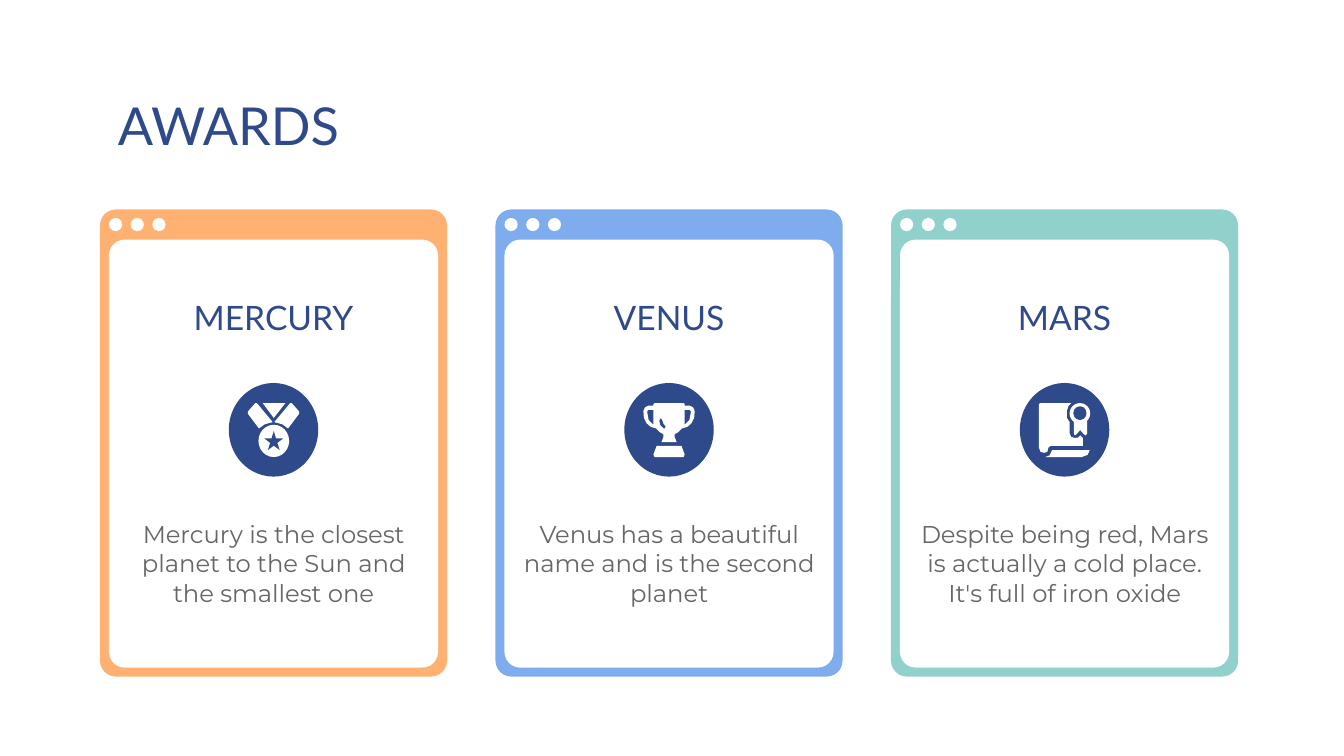
from pptx import Presentation
from pptx.dml.color import RGBColor
from pptx.enum.shapes import MSO_SHAPE
from pptx.enum.text import MSO_ANCHOR, PP_ALIGN
from pptx.util import Cm, Pt

ROUNDED, OVAL, STAR = MSO_SHAPE.ROUNDED_RECTANGLE, MSO_SHAPE.OVAL, MSO_SHAPE.STAR_5_POINT
TOP = MSO_ANCHOR.TOP
LEFT, CENTER = PP_ALIGN.LEFT, PP_ALIGN.CENTER

NAVY = RGBColor(0x2F, 0x4A, 0x8A)
GRAY = RGBColor(0x66, 0x66, 0x66)
WHITE = RGBColor(0xFF, 0xFF, 0xFF)
ORANGE = RGBColor(0xFF, 0xB1, 0x72)
BLUE = RGBColor(0x7E, 0xAC, 0xEC)
TEAL = RGBColor(0x90, 0xD1, 0xCB)

ICON_UNIT = Cm(0.01)
ICON_AXIS = 169

STRAP = [(116, 38), (119, 38), (133, 54), (133, 58), (112, 86), (101, 78), (86, 74)]
COLLAR = [(64, 38), (107, 38), (85, 66)]
CUP_HALF = [(112, 38), (114, 40), (114, 43), (124, 43), (130, 46), (133, 53), (132, 66),
            (127, 76), (119, 83), (109, 86), (102, 93), (95, 97), (95, 102), (99, 112)]
HANDLE_HOLE = [(114, 51), (124, 51), (126, 54), (123, 70), (114, 79)]
SHINE = [(69, 66), (72, 71), (74, 77), (78, 82), (77, 86), (74, 86), (68, 80), (66, 71)]
PLINTH = [(61, 119), (108, 119), (114, 135), (112, 140), (57, 140), (55, 135)]
SHEET = [(38, 38), (36, 40), (36, 122), (39, 130), (46, 132), (52, 130), (54, 122),
         (58, 119), (119, 119), (119, 104), (114, 99), (110, 103), (104, 104),
         (97, 102), (94, 95), (94, 74), (89, 66), (89, 52), (92, 43), (97, 38)]
CURL = [(61, 127), (132, 127), (128, 136), (117, 140), (48, 140), (56, 137)]
RIBBON = [(102, 68), (102, 96), (104, 99), (107, 97), (114, 89), (121, 97), (124, 99),
          (127, 96), (127, 68)]


def mirrored(points):
    """Reflect points across the vertical axis of an icon."""
    return [(ICON_AXIS - x, y) for x, y in reversed(points)]


def paint(shape, color):
    """Give a shape a flat fill without line or shadow."""
    shape.shadow.inherit = False
    shape.fill.solid()
    shape.fill.fore_color.rgb = color
    shape.line.fill.background()
    return shape


def add_flat(slide, preset, left, top, width, height, color):
    """Add a flat preset shape, measured in centimetres."""
    shape = slide.shapes.add_shape(preset, Cm(left), Cm(top), Cm(width), Cm(height))
    return paint(shape, color)


def add_icon_part(slide, left, top, preset, box, color):
    """Add a preset shape in icon units from the corner of the disc."""
    x, y, width, height = (value / 100 for value in box)
    add_flat(slide, preset, left + x, top + y, width, height, color)


def add_outline(slide, left, top, *contours):
    """Add a white outline, with holes, in icon units from the corner of the disc."""
    builder = slide.shapes.build_freeform(*contours[0][0], scale=1 / ICON_UNIT * ICON_UNIT ** 2)
    builder.add_line_segments(contours[0][1:], close=True)
    for hole in contours[1:]:
        builder.move_to(*hole[0])
        builder.add_line_segments(hole[1:], close=True)
    paint(builder.convert_to_shape(Cm(left), Cm(top)), WHITE)


def add_label(slide, left, top, width, height, text, size, font_name, color, align):
    """Add a wrapped text box, measured in centimetres."""
    frame = slide.shapes.add_textbox(Cm(left), Cm(top), Cm(width), Cm(height)).text_frame
    frame.word_wrap = True
    frame.vertical_anchor = TOP
    frame.margin_left = frame.margin_right = Cm(0.25)
    frame.margin_top = frame.margin_bottom = Cm(0.25)
    frame.text = text
    paragraph = frame.paragraphs[0]
    paragraph.alignment = align
    font = paragraph.runs[0].font
    font.size, font.name, font.color.rgb = Pt(size), font_name, color
    return paragraph


def draw_medal(slide, left, top):
    """Draw a medal on the disc at the given corner."""
    add_icon_part(slide, left, top, OVAL, (56, 79, 58, 61), WHITE)
    add_icon_part(slide, left, top, STAR, (67, 91, 36, 36), NAVY)
    for piece in (STRAP, COLLAR, mirrored(STRAP)):
        add_outline(slide, left, top, piece)


def draw_trophy(slide, left, top):
    """Draw a trophy on the disc at the given corner."""
    cup = CUP_HALF + mirrored(CUP_HALF)
    add_outline(slide, left, top, cup, HANDLE_HOLE, mirrored(HANDLE_HOLE), SHINE)
    add_outline(slide, left, top, PLINTH)


def draw_diploma(slide, left, top):
    """Draw a diploma with a rosette on the disc at the given corner."""
    for piece in (SHEET, CURL, RIBBON):
        add_outline(slide, left, top, piece)
    add_icon_part(slide, left, top, OVAL, (94, 38, 39, 39), WHITE)
    add_icon_part(slide, left, top, OVAL, (101, 44, 25, 26), NAVY)


def draw_card(slide, left, top, width, height, color, planet, fact, draw_icon):
    """Draw a window-like award card in the given box."""
    window = add_flat(slide, ROUNDED, left, top, width, height, color)
    window.adjustments[0] = 0.046
    border, bar = 0.17, 0.57
    pane = add_flat(slide, ROUNDED, left + border, top + bar,
                    width - 2 * border, height - bar - border, WHITE)
    pane.adjustments[0] = 0.048
    for index in range(3):
        add_flat(slide, OVAL, left + border + 0.41 * index, top + 0.16, 0.25, 0.25, WHITE)

    inset = 0.27
    text_width = width - 2 * inset
    add_label(slide, left + inset, top + 1.4, text_width, 1.3,
              planet, 18, "Lato", NAVY, CENTER)
    description = add_label(slide, left + inset, top + 5.61, text_width, 2.13,
                            fact, 13, "Montserrat", GRAY, CENTER)
    description.space_after = Pt(12)

    disc_width = 1.69
    disc_left, disc_top = left + (width - disc_width) / 2, top + 3.28
    add_flat(slide, OVAL, disc_left, disc_top, disc_width, 1.77, NAVY)
    draw_icon(slide, disc_left, disc_top)


def draw_awards(slide, left, top, width, height):
    """Draw the heading and a row of three cards in the given box."""
    add_label(slide, left + 0.09, top - 2.44, width - 0.18, 1.3,
              "AWARDS", 28, "Lato", NAVY, LEFT)
    cards = [
        (ORANGE, "MERCURY",
         "Mercury is the closest planet to the Sun and the smallest one", draw_medal),
        (BLUE, "VENUS",
         "Venus has a beautiful name and is the second planet", draw_trophy),
        (TEAL, "MARS",
         "Despite being red, Mars is actually a cold place. It's full of iron oxide",
         draw_diploma),
    ]
    card_width = 6.56
    pitch = (width - card_width) / (len(cards) - 1)
    for index, card in enumerate(cards):
        draw_card(slide, left + pitch * index, top, card_width, height, *card)


def main():
    """Build the awards slide and save it."""
    deck = Presentation()
    deck.slide_width, deck.slide_height = Cm(25.4), Cm(14.29)
    slide = deck.slides.add_slide(deck.slide_layouts[6])
    draw_awards(slide, 1.89, 3.96, 21.51, 8.83)
    deck.save("out.pptx")


if __name__ == "__main__":
    main()
